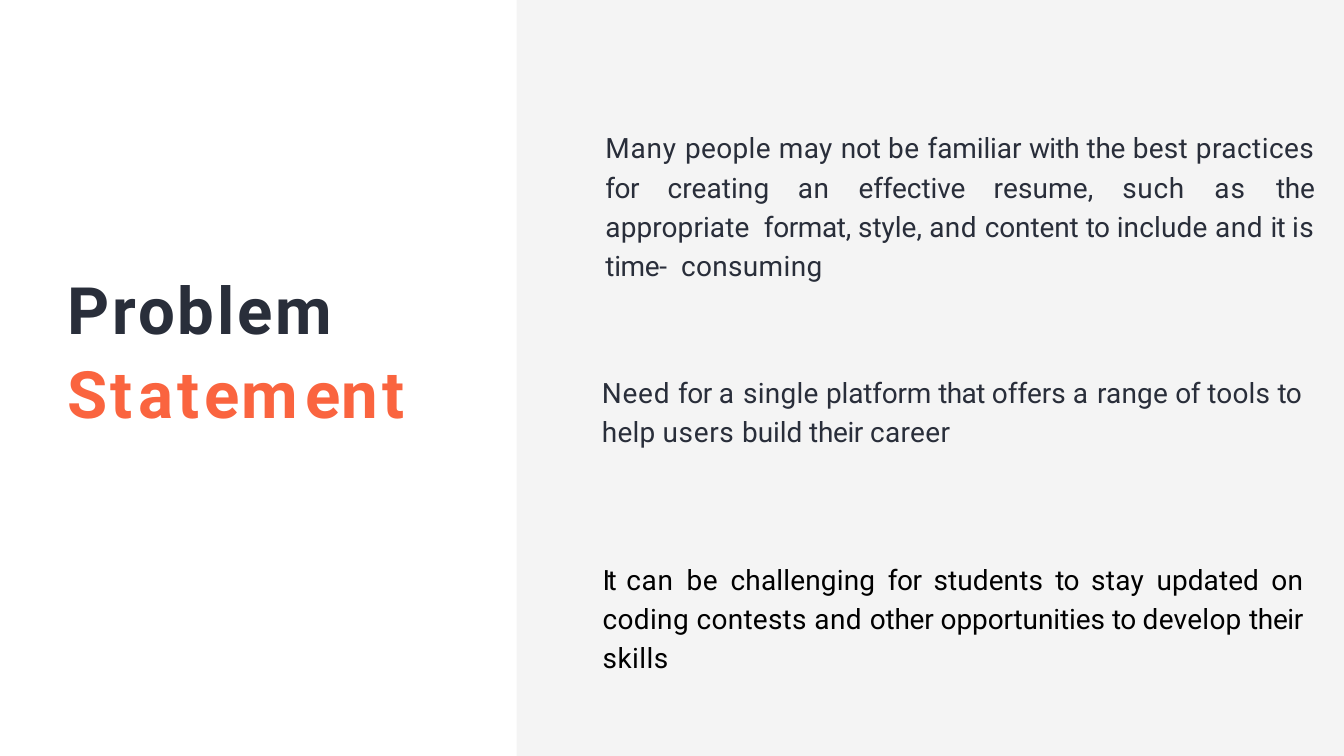
from pptx import Presentation
from pptx.dml.color import RGBColor
from pptx.enum.shapes import MSO_SHAPE
from pptx.enum.text import MSO_AUTO_SIZE, PP_ALIGN
from pptx.util import Pt

PX = 9525
WIDTH, HEIGHT = 1920, 1080
WHITE = RGBColor(0xFF, 0xFF, 0xFF)
GREY = RGBColor(0xF4, 0xF4, 0xF4)
NAVY = RGBColor(0x29, 0x2E, 0x3A)
ORANGE = RGBColor(0xFA, 0x64, 0x3F)
BLACK = RGBColor(0, 0, 0)

# Each run is its text and its letter spacing in points.
WIDE_GAP = (" ", 7.5)

HEADING = [("Problem ", 3)]
HEADING_ACCENT = [("S", 3.2), ("t", 5.7), ("a", 3.9), ("t", 5.7), ("e", 1.7),
                  ("m", 7.8), ("e", 1.7), ("n", 4), ("t", 5.8)]

RESUME = [
    ("Many ", 0.8), ("people may ", 0.4), ("not ", -0.3), ("be ", 0.5),
    ("familiar ", -0.1), ("with ", -0.6), ("the ", -0.3), ("best ", 0.3),
    ("practices ", 0.5), ("for ", -0.5), ("creating ", 0.1), ("an ", 0.6),
    ("effective ", -0.1), ("resume, ", 0.2), ("such ", 0.8), ("as ", 1.4),
    ("the ", -0.3), ("appropriate", 0.1), WIDE_GAP, ("format, ", -0.4),
    ("style, ", 0), ("and ", 0.5), ("content ", -0.1), ("to ", -0.6),
    ("include ", 0.2), ("and ", 0.5), ("it ", -0.9), ("is ", 0.7),
    ("time-", -0.4), WIDE_GAP, ("consuming", 0.4),
]
PLATFORM = [
    ("Need ", 0.8), ("for ", -0.5), ("a ", 1.1), ("single ", 0.3),
    ("platform ", -0.2), ("that ", -0.6), ("offers ", 0), ("a ", 1.1),
    ("range ", 0.2), ("of ", -0.3), ("tools ", 0.2), ("to ", -0.6),
    ("help ", 0.2), ("users ", 0.7), ("build ", -0.1), ("their ", -0.4),
    ("career", 0.4),
]
CONTESTS = [
    ("It ", -2.8), ("can ", 0.8), ("be ", 0.5), ("challenging ", 0.2),
    ("for ", -0.5), ("students ", 0.1), ("to ", -0.6), ("stay ", 0.3),
    ("updated ", 0.1), ("on ", 0.3), ("coding ", 0.4), ("contests ", 0.3),
    ("and ", 0.5), ("other ", -0.2), ("opportunities ", -0.1), ("to ", -0.6),
    ("develop ", 0.3), ("their", -0.4), WIDE_GAP, ("skills", 0.5),
]


def assign(target, values):
    for name, value in values.items():
        setattr(target, name, value)


class SlideBuilder:
    font_name = "Roboto"
    frame_format = {
        "word_wrap": True, "auto_size": MSO_AUTO_SIZE.SHAPE_TO_FIT_TEXT,
        "margin_left": 0, "margin_top": 2 * PX,
        "margin_right": 0, "margin_bottom": 0,
    }

    def __init__(self, page):
        self.page = page

    def panel(self, left, top, width, height, color):
        shape = self.page.shapes.add_shape(
            MSO_SHAPE.RECTANGLE, *(n * PX for n in (left, top, width, height)))
        shape.shadow.inherit = False
        shape.fill.solid()
        shape.fill.fore_color.rgb = color
        shape.line.fill.background()

    def text(self, place, groups, size=30, bold=False, spacing=1.17,
             align=PP_ALIGN.LEFT):
        """Add one paragraph from groups of (colour, spaced runs)."""
        box = self.page.shapes.add_textbox(*(n * PX for n in place))
        assign(box.text_frame, self.frame_format)
        para = box.text_frame.paragraphs[0]
        assign(para, {"alignment": align, "line_spacing": spacing})
        para._p.get_or_add_pPr().set("marL", str(PX))
        for color, runs in groups:
            for words, tracking in runs:
                span = para.add_run()
                span.text = words
                assign(span.font, {"name": self.font_name, "size": Pt(size),
                                   "bold": bold})
                span.font.color.rgb = color
                span._r.get_or_add_rPr().set("spc", str(round(tracking * 100)))


def main():
    deck = Presentation()
    assign(deck, {"slide_width": WIDTH * PX, "slide_height": HEIGHT * PX})
    builder = SlideBuilder(deck.slides.add_slide(deck.slide_layouts[6]))

    builder.panel(0, 0, WIDTH, HEIGHT, GREY)
    builder.panel(0, 0, 738, HEIGHT, WHITE)
    builder.text((859, 526, 1018, 114), [(NAVY, PLATFORM)])
    builder.text((96, 373, 507, 245),
                 [(NAVY, HEADING), (ORANGE, HEADING_ACCENT)],
                 size=70, bold=True, spacing=1.08)
    builder.text((864, 177, 1014, 227), [(NAVY, RESUME)],
                 align=PP_ALIGN.JUSTIFY)
    builder.text((860, 793, 1002, 171), [(BLACK, CONTESTS)],
                 align=PP_ALIGN.JUSTIFY)
    deck.save("out.pptx")


if __name__ == "__main__":
    main()
